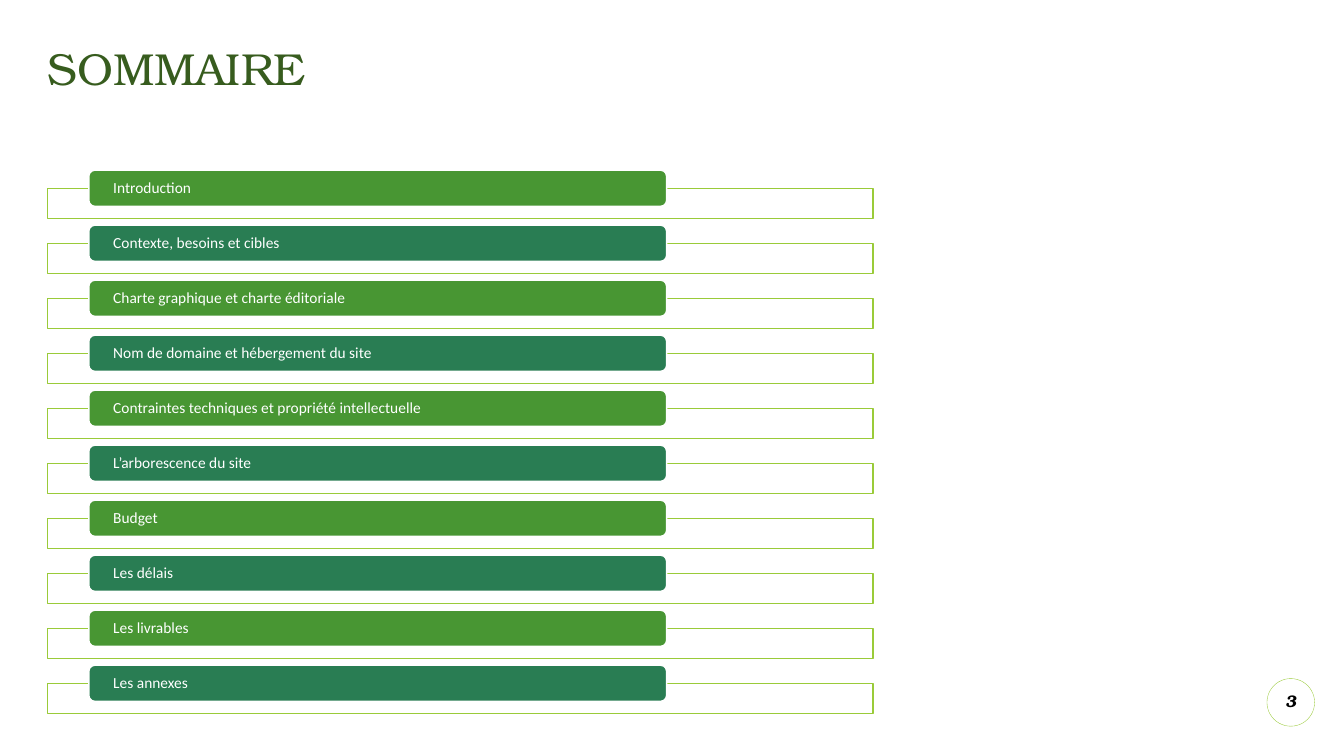
from lxml import etree
from pptx import Presentation
from pptx.dml.color import RGBColor
from pptx.enum.shapes import MSO_SHAPE
from pptx.enum.text import MSO_ANCHOR, MSO_AUTO_SIZE, PP_ALIGN
from pptx.oxml.ns import qn
from pptx.util import Cm, Pt

RECTANGLE = MSO_SHAPE.RECTANGLE
ROUNDED = MSO_SHAPE.ROUNDED_RECTANGLE
OVAL = MSO_SHAPE.OVAL
MIDDLE = MSO_ANCHOR.MIDDLE
LEFT, CENTER = PP_ALIGN.LEFT, PP_ALIGN.CENTER
NO_AUTOFIT = MSO_AUTO_SIZE.NONE

SERIF, SANS = "TeX Gyre Bonum", "Calibri"
WHITE, BLACK = "FFFFFF", "000000"
LIME, TITLE_GREEN = "9ACB39", "375C1E"
TAB_COLORS = ["489633", "297D53"]

CHAPTERS = [
    "Introduction",
    "Contexte, besoins et cibles",
    "Charte graphique et charte éditoriale",
    "Nom de domaine et hébergement du site",
    "Contraintes techniques et propriété intellectuelle",
    "L’arborescence du site",
    "Budget",
    "Les délais",
    "Les livrables",
    "Les annexes",
]


def color(hex_text):
    return RGBColor.from_string(hex_text)


def place(shape, box):
    shape.left, shape.top, shape.width, shape.height = (Cm(n) for n in box)


def write(shape, text, size, font_name, font_color, align=LEFT, side_inset=0):
    frame = shape.text_frame
    frame.word_wrap = True
    frame.auto_size = NO_AUTOFIT
    frame.vertical_anchor = MIDDLE
    frame.margin_top = frame.margin_bottom = 0
    frame.margin_left = frame.margin_right = Cm(side_inset)
    para = frame.paragraphs[0]
    para.text = text
    para.alignment = align
    para.line_spacing = 0.9
    para.font.size = Pt(size)
    para.font.name = font_name
    para.font.color.rgb = color(font_color)
    return para


def add_block(page, kind, box, fill, line, line_width):
    shape = page.shapes.add_shape(kind, *(Cm(n) for n in box))
    shape.shadow.inherit = False
    if fill:
        shape.fill.solid()
        shape.fill.fore_color.rgb = color(fill)
    else:
        shape.fill.background()
    shape.line.color.rgb = color(line)
    shape.line.width = Pt(line_width)
    return shape


def set_opacity(shape, percent):
    fill_color = shape.fill._xPr.find(qn("a:solidFill"))[0]
    etree.SubElement(fill_color, qn("a:alpha"), val=str(percent * 1000))


def add_title(page, box):
    title = page.shapes.title
    place(title, box)
    write(title, "SOMMAIRE", 32, SERIF, TITLE_GREEN)


def add_chapter(page, box, text, tab_color):
    left, top, width, _ = box
    # Outlined frame behind the tab
    frame = add_block(page, RECTANGLE, (left, top + 0.46, width, 0.76), WHITE, LIME, 1)
    set_opacity(frame, 90)
    # Coloured tab with the chapter name
    tab_box = (left + 0.05 * width, top, 0.7 * width, 0.91)
    tab = add_block(page, ROUNDED, tab_box, tab_color, WHITE, 1)
    write(tab, text, 11, SANS, WHITE, side_inset=0.57)


def add_chapter_list(page, box):
    left, top, width, height = box
    pitch = height / len(CHAPTERS)
    for row, chapter in enumerate(CHAPTERS):
        row_box = (left, top + row * pitch, width, pitch)
        add_chapter(page, row_box, chapter, TAB_COLORS[row % len(TAB_COLORS)])


def add_page_number(page, box, number):
    badge = add_block(page, OVAL, box, None, LIME, 0.25)
    para = write(badge, str(number), 12, SERIF, BLACK, CENTER)
    para.font.bold = True
    para.font.italic = True


def main():
    deck = Presentation()
    deck.slide_width, deck.slide_height = Cm(33.87), Cm(19.05)
    page = deck.slides.add_slide(deck.slide_layouts[5])
    add_title(page, (1.2, 1.2, 31.5, 1.2))
    add_page_number(page, (31.93, 17.1, 1.2, 1.2), 3)
    add_chapter_list(page, (1.2, 4.29, 20.8, 13.86))
    deck.save("out.pptx")


if __name__ == "__main__":
    main()
